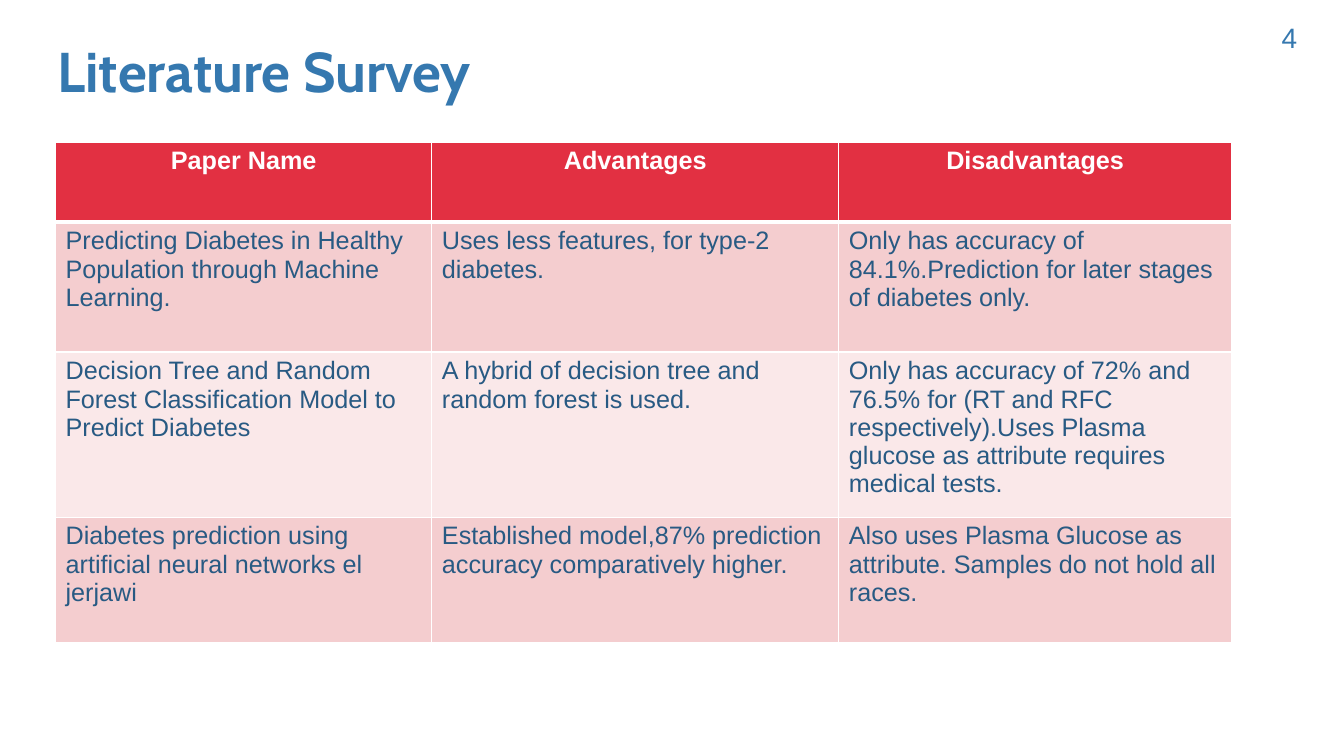
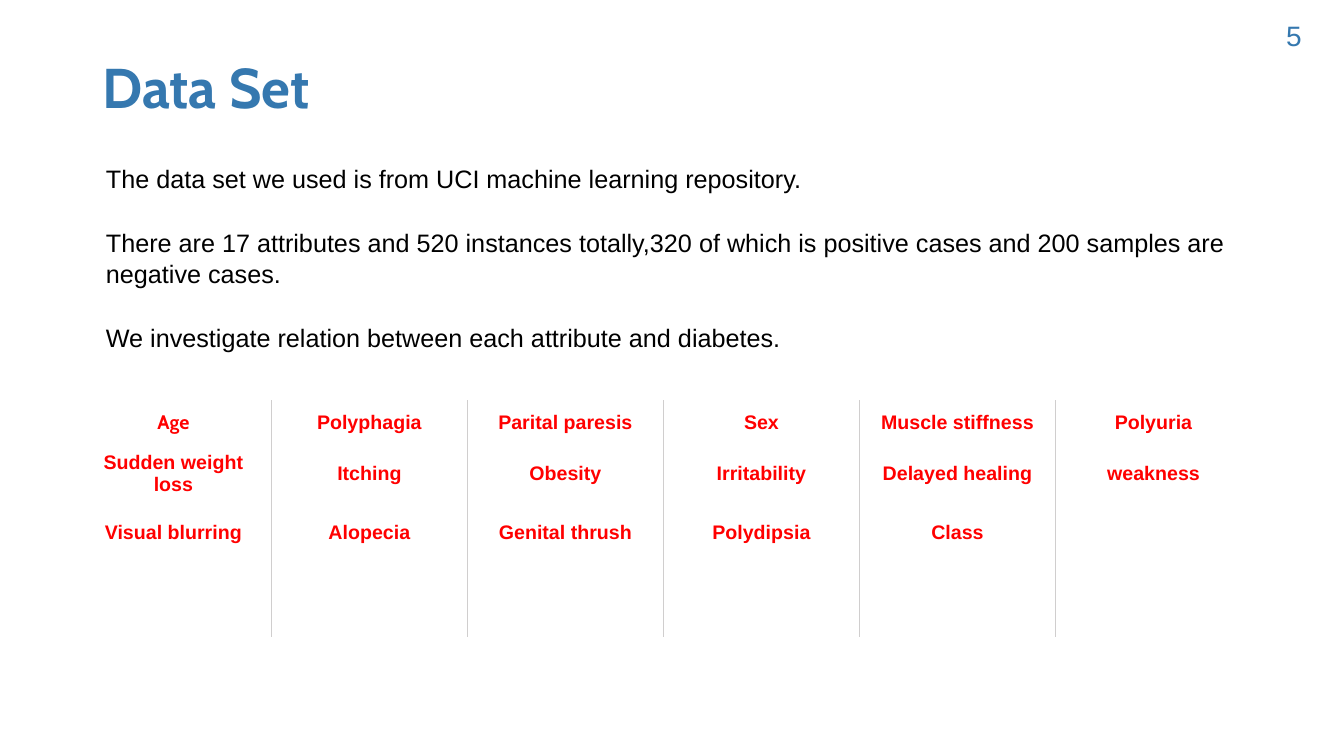
from dataclasses import dataclass

from lxml import etree
from pptx import Presentation
from pptx import util as u
from pptx.dml.color import RGBColor
from pptx.enum import text as t
from pptx.oxml import ns


@dataclass(frozen=True)
class Theme:
    """Colours, fonts and type sizes shared by the slides."""
    accent: str = "3578AF"
    ink: str = "000000"
    white: str = "FFFFFF"
    header: str = "E23042"
    bands: tuple = ("F4CDCF", "FAE8E9")
    survey_ink: str = "285A83"
    attribute: str = "FF0000"
    rule: str = "D0CECE"
    heading_font: str = "Cabin"
    body_font: str = "Arial"
    title_size: int = 40
    number_size: int = 20
    body_size: int = 18
    attribute_size: int = 14


@dataclass(frozen=True)
class Box:
    """A region of the slide in centimetres."""
    left: float
    top: float
    width: float
    height: float

    def place(self):
        """Return the region as slide lengths."""
        return [u.Cm(side) for side in (self.left, self.top, self.width, self.height)]


THEME = Theme()

SURVEY = [
    ["Paper Name", "Advantages", "Disadvantages"],
    ["Predicting Diabetes in Healthy Population through Machine Learning.",
     "Uses less features, for type-2 diabetes.",
     "Only has accuracy of 84.1%.Prediction for later stages of diabetes only."],
    ["Decision Tree and Random Forest Classification Model to Predict Diabetes",
     "A hybrid of decision tree and random forest is used.",
     "Only has accuracy of 72% and 76.5% for (RT and RFC respectively)."
     "Uses Plasma glucose as attribute requires medical tests."],
    ["Diabetes prediction using artificial neural networks el jerjawi",
     "Established model,87% prediction accuracy comparatively higher.",
     "Also uses Plasma Glucose as attribute. Samples do not hold all races."],
]

DESCRIPTION = [
    "The data set we used is from UCI machine learning repository.",
    "There are 17 attributes and 520 instances totally,320 of which is positive "
    "cases and 200 samples are negative cases.",
    "We investigate relation between each attribute and diabetes.",
]

ATTRIBUTES = [
    ["Age", "Polyphagia", "Parital paresis", "Sex", "Muscle stiffness", "Polyuria"],
    ["Sudden weight loss", "Itching", "Obesity", "Irritability", "Delayed healing",
     "weakness"],
    ["Visual blurring", "Alopecia", "Genital thrush", "Polydipsia", "Class", ""],
]


def write(frame, *paragraphs, size=THEME.body_size, color=THEME.ink, bold=False,
          font=THEME.body_font, align=t.PP_ALIGN.LEFT, spacing=None, before=0, after=0):
    """Fill a text frame with paragraphs of one format."""
    frame.word_wrap = True
    for index, words in enumerate(paragraphs):
        paragraph = frame.add_paragraph() if index else frame.paragraphs[0]
        paragraph.alignment = align
        paragraph.line_spacing = spacing
        paragraph.space_before = u.Pt(before if index else 0)
        paragraph.space_after = u.Pt(after)
        run = paragraph.add_run()
        run.text = words
        run.font.size = u.Pt(size)
        run.font.name = font
        run.font.bold = bold
        run.font.color.rgb = RGBColor.from_string(color)


def add_text(slide, box, *paragraphs, **style):
    """Place a text box and write its paragraphs."""
    write(slide.shapes.add_textbox(*box.place()).text_frame, *paragraphs, **style)


def add_title(slide, box, title):
    """Place the slide title."""
    add_text(slide, box, title, size=THEME.title_size, color=THEME.accent, bold=True,
             font=THEME.heading_font, spacing=0.9)


def add_page_number(slide, box, number):
    """Place the page number."""
    add_text(slide, box, str(number), size=THEME.number_size, color=THEME.accent)


def set_borders(cell, **sides):
    """Draw the cell sides L, R, T and B given as (colour, points), hiding the rest."""
    properties = cell._tc.get_or_add_tcPr()
    for side in "LRTB":
        line = etree.SubElement(properties, ns.qn(f"a:ln{side}"))
        if side in sides:
            color, points = sides[side]
            line.set("w", str(u.Pt(points)))
            fill = etree.SubElement(line, ns.qn("a:solidFill"))
            etree.SubElement(fill, ns.qn("a:srgbClr")).set("val", color)
        else:
            etree.SubElement(line, ns.qn("a:noFill"))


def add_grid(slide, box, widths, heights):
    """Place an unstyled table with the given column widths and row heights."""
    grid = slide.shapes.add_table(len(heights), len(widths), *box.place()).table
    grid.first_row = grid.horz_banding = False
    for column, width in zip(grid.columns, widths):
        column.width = u.Cm(width)
    for row, height in zip(grid.rows, heights):
        row.height = u.Cm(height)
    return grid


def add_survey(slide, box):
    """Place the banded table of surveyed papers."""
    widths = [box.width * share for share in (0.32, 0.35 - 0.004, 0.334)]
    heights = [box.height * share for share in (0.16, 0.26, 0.33, 0.25)]
    grid = add_grid(slide, box, widths, heights)
    thin, thick = (THEME.white, 1), (THEME.white, 3)
    for r, entries in enumerate(SURVEY):
        is_header = r == 0
        fill = THEME.header if is_header else THEME.bands[(r - 1) % 2]
        for c, entry in enumerate(entries):
            cell = grid.cell(r, c)
            set_borders(cell, L=thin, R=thin, T=thick if r == 1 else thin,
                        B=thick if is_header else thin)
            cell.fill.solid()
            cell.fill.fore_color.rgb = RGBColor.from_string(fill)
            write(cell.text_frame, entry, bold=is_header,
                  color=THEME.white if is_header else THEME.survey_ink,
                  align=t.PP_ALIGN.CENTER if is_header else t.PP_ALIGN.LEFT)


def add_attributes(slide, box):
    """Place the attribute names in columns parted by thin rules."""
    count = len(ATTRIBUTES[0])
    heights = [box.height * share for share in (0.19, 0.24, 0.57)]
    grid = add_grid(slide, box, [box.width / count] * count, heights)
    rule = (THEME.rule, 0.5)
    for r, names in enumerate(ATTRIBUTES):
        for c, name in enumerate(names):
            cell = grid.cell(r, c)
            sides = {"L": rule} if c else {}
            if c < count - 1:
                sides["R"] = rule
            set_borders(cell, **sides)
            cell.fill.background()
            if r == len(ATTRIBUTES) - 1:
                cell.margin_top = u.Cm(0.5)
            else:
                cell.vertical_anchor = t.MSO_ANCHOR.MIDDLE
            if name:
                write(cell.text_frame, name, size=THEME.attribute_size, bold=True,
                      color=THEME.attribute, align=t.PP_ALIGN.CENTER,
                      font=THEME.heading_font if name == "Age" else THEME.body_font)


def build_survey_slide(slide):
    """Build the literature survey slide."""
    add_title(slide, Box(1.2, 1, 29.4, 2.23), "Literature Survey")
    add_survey(slide, Box(1.4, 3.58, 29.64, 12.6))
    add_page_number(slide, Box(32.05, 0.38, 1.2, 1.12), 4)


def build_data_slide(slide):
    """Build the data set slide."""
    add_title(slide, Box(2.33, 1.4, 29.4, 1.8), "Data Set")
    add_text(slide, Box(2.42, 4, 29.33, 5.08), *DESCRIPTION, before=10, after=14.2)
    add_attributes(slide, Box(1.9, 10.08, 29.64, 5.95))
    add_page_number(slide, Box(32.16, 0.33, 1.05, 1.12), 5)


def main():
    """Build and save the presentation."""
    deck = Presentation()
    deck.slide_width, deck.slide_height = u.Cm(33.87), u.Cm(19.05)
    for build in (build_survey_slide, build_data_slide):
        build(deck.slides.add_slide(deck.slide_layouts[6]))
    deck.save("out.pptx")


if __name__ == "__main__":
    main()
